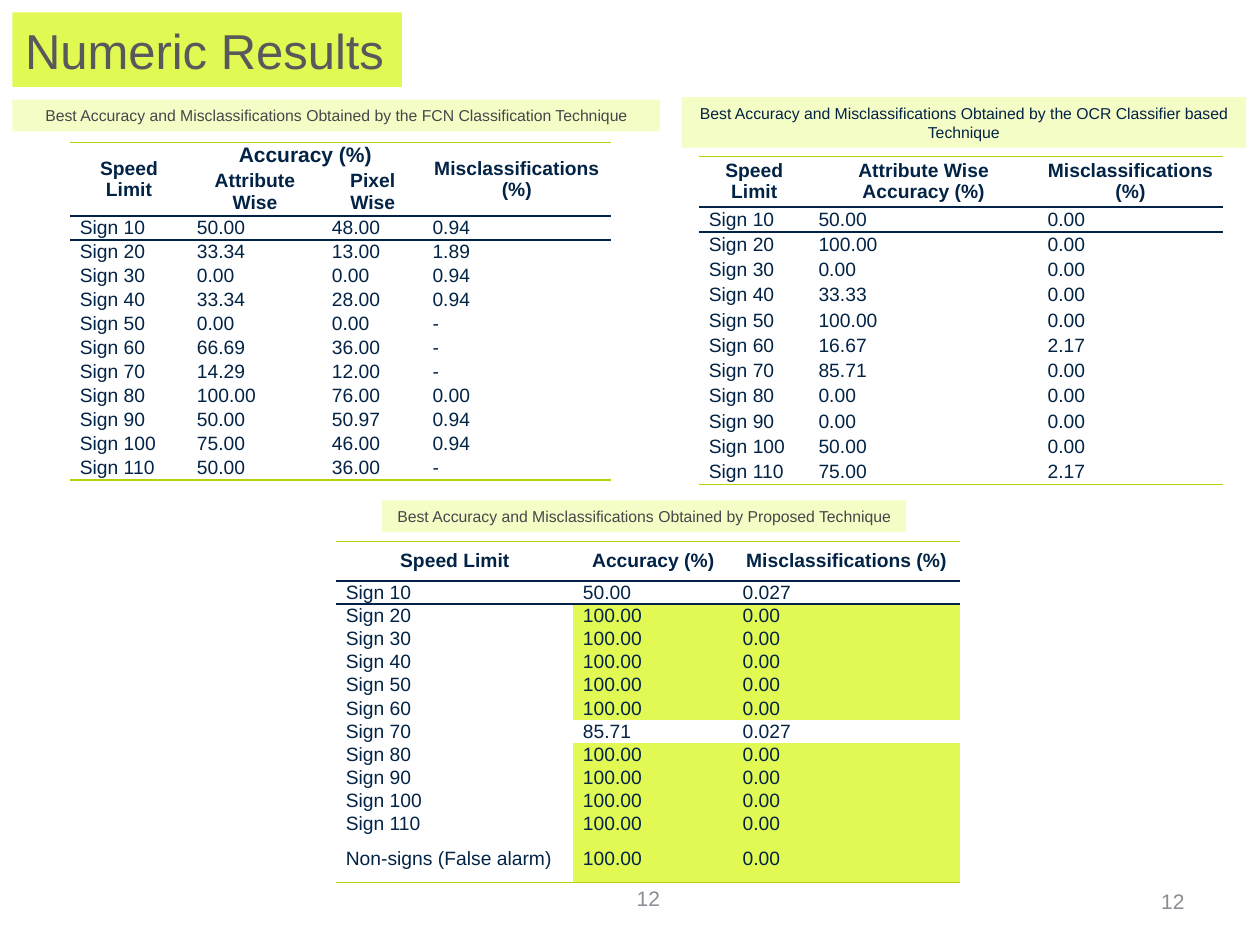
import dataclasses

import lxml.etree
import pptx
import pptx.dml.color
import pptx.enum.shapes
import pptx.enum.text
import pptx.oxml.ns
import pptx.util

Cm = pptx.util.Cm
Pt = pptx.util.Pt
Align = pptx.enum.text.PP_ALIGN
Anchor = pptx.enum.text.MSO_ANCHOR
qn = pptx.oxml.ns.qn


@dataclasses.dataclass(frozen=True)
class Theme:
    font: str = "Arial"
    navy: str = "022345"
    lime: str = "E2F954"
    pale: str = "F5FDC6"
    edge: str = "B5D107"
    gray: str = "58595B"
    dark: str = "464749"
    faint: str = "8C8D94"
    title: int = 28
    group: int = 12
    cell: int = 11
    label: int = 9
    page: int = 12
    plain: str = "{2D5ABB26-0587-4C30-8999-92F81FD0307C}"


THEME = Theme()
SIGNS = [f"Sign {n}" for n in range(10, 120, 10)]


def color(code):
    return pptx.dml.color.RGBColor.from_string(code)


def write(frame, text, size=THEME.cell, ink=THEME.navy, bold=False,
          align=Align.LEFT, anchor=Anchor.MIDDLE):
    frame.word_wrap = True
    frame.vertical_anchor = anchor
    para = frame.paragraphs[0]
    para.text = text
    para.alignment = align
    para.font.name = THEME.font
    para.font.size = Pt(size)
    para.font.bold = bold
    para.font.color.rgb = color(ink)


def paint(shape, code):
    shape.fill.solid()
    shape.fill.fore_color.rgb = color(code)


def add_title(slide, text, left, top, width, height):
    title = slide.shapes.title
    title.left, title.top, title.width, title.height = map(Cm, (left, top, width, height))
    paint(title, THEME.lime)
    title.text_frame.auto_size = pptx.enum.text.MSO_AUTO_SIZE.NONE
    write(title.text_frame, text, size=THEME.title, ink=THEME.gray)


def add_label(slide, text, left, top, width, height, ink=THEME.dark):
    kind = pptx.enum.shapes.MSO_SHAPE.RECTANGLE
    label = slide.shapes.add_shape(kind, Cm(left), Cm(top), Cm(width), Cm(height))
    label.shadow.inherit = False
    label.line.fill.background()
    paint(label, THEME.pale)
    write(label.text_frame, text, size=THEME.label, ink=ink,
          align=Align.CENTER, anchor=Anchor.TOP)


def add_page(slide, left, top, align):
    box = slide.shapes.add_textbox(Cm(left), Cm(top), Cm(5.92), Cm(1.02))
    write(box.text_frame, "12", size=THEME.page, ink=THEME.faint, align=align)


def rule(cell, side, code):
    line = lxml.etree.SubElement(cell._tc.get_or_add_tcPr(), qn(f"a:ln{side}"), w=str(Pt(1)))
    fill = lxml.etree.SubElement(line, qn("a:solidFill"))
    lxml.etree.SubElement(fill, qn("a:srgbClr"), val=code)


def add_grid(slide, left, top, height, cols, tops, heads, rows,
             foot=None, spans=(), mark=False):
    data = heads + rows
    frame = slide.shapes.add_table(len(data), len(cols), Cm(left), Cm(top),
                                   Cm(sum(cols)), Cm(height))
    grid = frame.table
    frame._element.find(".//" + qn("a:tableStyleId")).text = THEME.plain
    for col, width in zip(grid.columns, cols):
        col.width = Cm(width)
    tail = [foot] if foot else []
    count = len(rows) - len(tail)
    step = (height - sum(tops) - sum(tail)) / count
    for row, tall in zip(grid.rows, tops + [step] * count + tail):
        row.height = Cm(tall)
    for start, end in spans:
        grid.cell(*start).merge(grid.cell(*end))

    for r, values in enumerate(data):
        head = r < len(heads)
        for c, value in enumerate(values):
            cell = grid.cell(r, c)
            cell.margin_left = cell.margin_right = Cm(0.19)
            cell.margin_top = cell.margin_bottom = 0
            cell.vertical_anchor = Anchor.MIDDLE
            last = r + cell.span_height - 1
            if r == 0:
                rule(cell, "T", THEME.edge)
            if last == len(data) - 1:
                rule(cell, "B", THEME.edge)
            elif last in (len(heads) - 1, len(heads)):
                rule(cell, "B", THEME.navy)
            if mark and c and values[1] == "100.00":
                paint(cell, THEME.lime)
            else:
                cell.fill.background()
            if value:
                wide = cell.is_merge_origin and cell.span_width > 1
                write(cell.text_frame, value, bold=head,
                      size=THEME.group if wide else THEME.cell,
                      align=Align.CENTER if head else Align.LEFT)


def add_fcn(slide):
    add_label(slide, "Best Accuracy and Misclassifications Obtained by the FCN "
              "Classification Technique", 0.25, 2.01, 13.06, 0.64)
    wise = "50.00 33.34 0.00 33.34 0.00 66.69 14.29 100.00 50.00 75.00 50.00".split()
    pixel = "48.00 13.00 0.00 28.00 0.00 36.00 12.00 76.00 50.97 46.00 36.00".split()
    miss = "0.94 1.89 0.94 0.94 - - - 0.00 0.94 0.94 -".split()
    heads = [("Speed Limit", "Accuracy (%)", "", "Misclassifications (%)"),
             ("", "Attribute Wise", "Pixel Wise", "")]
    add_grid(slide, 1.42, 2.87, 6.81, [2.36, 2.72, 2.03, 3.78], [0.51, 0.97],
             heads, list(zip(SIGNS, wise, pixel, miss)),
             spans=[((0, 0), (1, 0)), ((0, 1), (0, 2)), ((0, 3), (1, 3))])


def add_ocr(slide):
    add_label(slide, "Best Accuracy and Misclassifications Obtained by the OCR "
              "Classifier based Technique", 13.74, 1.96, 11.38, 1.02, ink=THEME.navy)
    wise = "50.00 100.00 0.00 33.33 100.00 16.67 85.71 0.00 0.00 50.00 75.00".split()
    miss = ["2.17" if sign in ("Sign 60", "Sign 110") else "0.00" for sign in SIGNS]
    add_grid(slide, 14.1, 3.15, 6.62, [2.21, 4.62, 3.72], [1.02],
             [("Speed Limit", "Attribute Wise Accuracy (%)", "Misclassifications (%)")],
             list(zip(SIGNS, wise, miss)))


def add_ours(slide):
    add_label(slide, "Best Accuracy and Misclassifications Obtained by Proposed "
              "Technique", 7.7, 10.09, 10.57, 0.64)
    flaws = {"Sign 10": ("50.00", "0.027"), "Sign 70": ("85.71", "0.027")}
    rows = [(name, *flaws.get(name, ("100.00", "0.00")))
            for name in SIGNS + ["Non-signs (False alarm)"]]
    add_grid(slide, 6.78, 10.92, 6.87, [4.78, 3.22, 4.57], [0.79],
             [("Speed Limit", "Accuracy (%)", "Misclassifications (%)")],
             rows, foot=0.94, mark=True)


def main():
    deck = pptx.Presentation()
    deck.slide_width, deck.slide_height = Cm(25.4), Cm(19.05)
    slide = deck.slides.add_slide(deck.slide_layouts[5])
    add_title(slide, "Numeric Results", 0.25, 0.25, 7.85, 1.5)
    add_fcn(slide)
    add_ocr(slide)
    add_ours(slide)
    add_page(slide, 10.11, 17.6, Align.CENTER)
    add_page(slide, 18.21, 17.65, Align.RIGHT)
    deck.save("out.pptx")


if __name__ == "__main__":
    main()
